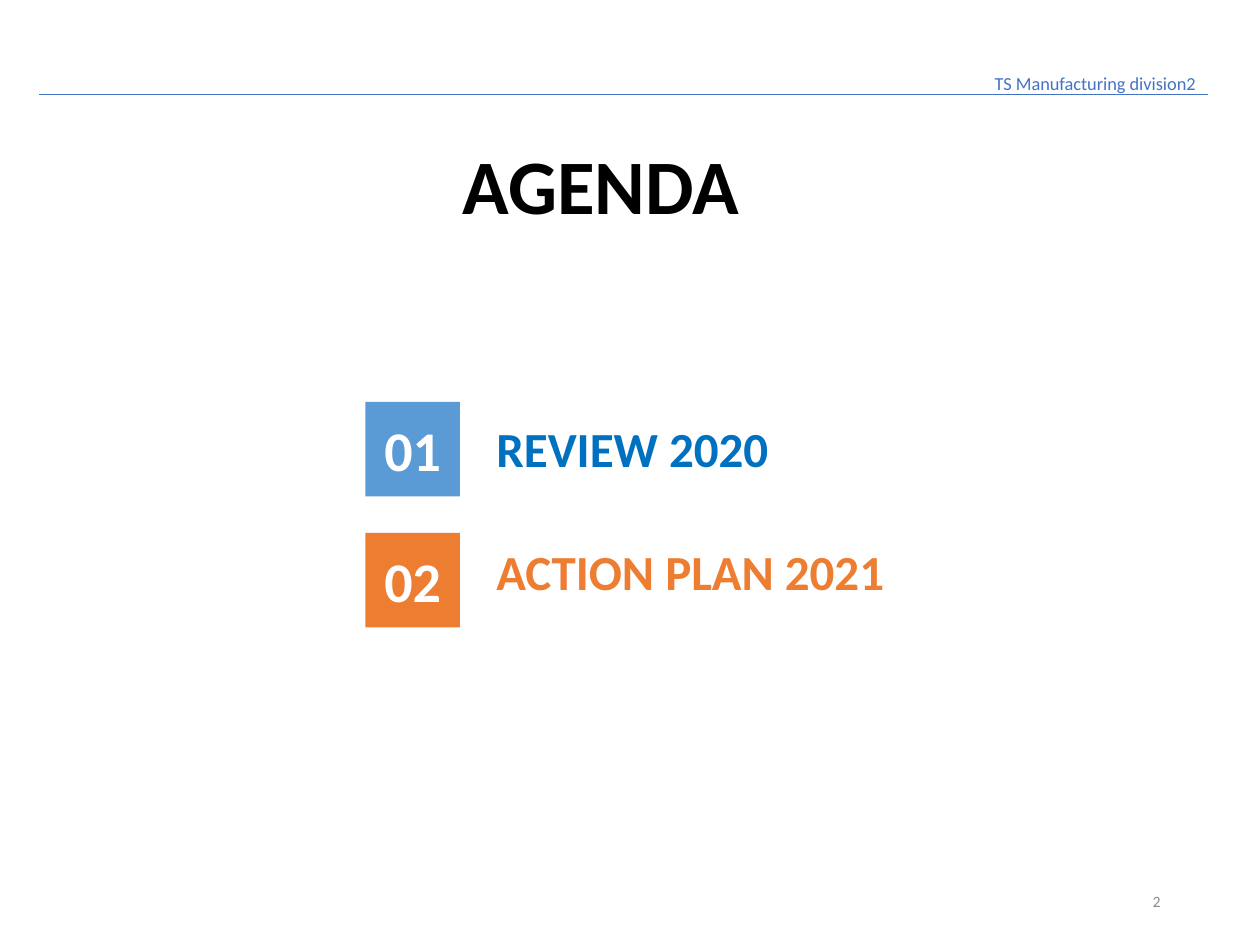
from dataclasses import dataclass

from lxml import etree
from pptx import Presentation
from pptx.dml.color import RGBColor
from pptx.enum import shapes, text
from pptx.oxml import ns
from pptx.util import Inches, Pt


@dataclass(frozen=True)
class Theme:
    """Colours, type sizes and font of the slide."""
    font: str = "Calibri"
    rule: str = "4472C4"
    header: str = "4571C7"
    title: str = "000000"
    number: str = "FFFFFF"
    page: str = "8C8C8C"
    blue_fill: str = "5B9BD5"
    blue_text: str = "0070C0"
    orange: str = "ED7D31"
    header_size: float = 10.5
    title_size: float = 44
    number_size: float = 32
    label_size: float = 28
    page_size: float = 9


THEME = Theme()
ITEMS = [
    ("01", "REVIEW 2020", THEME.blue_fill, THEME.blue_text, 0.13),
    ("02", "ACTION PLAN 2021", THEME.orange, THEME.orange, 0.07),
]


def set_text(sp, content, size, color, bold=False, align=text.PP_ALIGN.LEFT,
             anchor=text.MSO_ANCHOR.TOP, inset=0.0):
    """Write one formatted paragraph into a shape."""
    tf = sp.text_frame
    tf.text = content
    tf.word_wrap = True
    tf.auto_size = text.MSO_AUTO_SIZE.NONE
    tf.vertical_anchor = anchor
    tf.margin_left = tf.margin_right = Inches(inset)
    tf.margin_top = tf.margin_bottom = Inches(inset)
    p = tf.paragraphs[0]
    p.alignment = align
    font = p.runs[0].font
    font.name, font.size, font.bold = THEME.font, Pt(size), bold
    font.color.rgb = RGBColor.from_string(color)


def add_label(s, box, content, size, color, **style):
    """Add a text box at the given box."""
    sp = s.shapes.add_textbox(*map(Inches, box))
    set_text(sp, content, size, color, **style)


def add_header(s, left, top, width, height):
    """Draw the division name above the header rule."""
    rule_y = Inches(top + height)
    line = s.shapes.add_connector(shapes.MSO_CONNECTOR.STRAIGHT, Inches(left),
                                  rule_y, Inches(left + width), rule_y)
    line.line.color.rgb = RGBColor.from_string(THEME.rule)
    line.line.width = Pt(1)
    etree.SubElement(line._element.spPr, ns.qn("a:effectLst"))
    name_width = 1.99
    add_label(s, (left + width - name_width, top, name_width, 0.25),
              "TS Manufacturing division2", THEME.header_size, THEME.header,
              align=text.PP_ALIGN.RIGHT, inset=0.1)


def add_title(s, left, top, width, height):
    """Place and format the title placeholder."""
    sp = s.shapes.title
    sp.left, sp.top = Inches(left), Inches(top)
    sp.width, sp.height = Inches(width), Inches(height)
    set_text(sp, "AGENDA", THEME.title_size, THEME.title, bold=True,
             align=text.PP_ALIGN.CENTER)


def add_agenda(s, left, top, width, side=0.75, gap=0.29):
    """Stack the numbered squares with their labels."""
    label_left = left + side + gap
    for i, (number, label, fill, color, offset) in enumerate(ITEMS):
        y = top + i * (side + gap)
        sp = s.shapes.add_shape(shapes.MSO_SHAPE.RECTANGLE, Inches(left),
                                Inches(y), Inches(side), Inches(side))
        sp.shadow.inherit = False
        sp.fill.solid()
        sp.fill.fore_color.rgb = RGBColor.from_string(fill)
        sp.line.fill.background()
        set_text(sp, number, THEME.number_size, THEME.number, bold=True,
                 align=text.PP_ALIGN.CENTER, anchor=text.MSO_ANCHOR.MIDDLE,
                 inset=0.05)
        add_label(s, (label_left, y + offset, left + width - label_left, 0.47),
                  label, THEME.label_size, color, bold=True)


def add_page_number(s, left, top, width, height):
    """Place the page number at the lower right."""
    add_label(s, (left, top, width, height), "2", THEME.page_size, THEME.page,
              align=text.PP_ALIGN.RIGHT, anchor=text.MSO_ANCHOR.MIDDLE,
              inset=0.1)


def main():
    """Build the agenda slide and save it."""
    prs = Presentation()
    prs.slide_width, prs.slide_height = Inches(10), Inches(7.5)
    s = prs.slides.add_slide(prs.slide_layouts.get_by_name("Title Only"))
    add_header(s, 0.31, 0.47, 9.28, 0.28)
    add_title(s, 2.23, 1.09, 5.08, 0.74)
    add_agenda(s, 2.9, 3.19, 6.17)
    add_page_number(s, 7.06, 6.95, 2.25, 0.4)
    prs.save("out.pptx")


if __name__ == "__main__":
    main()
